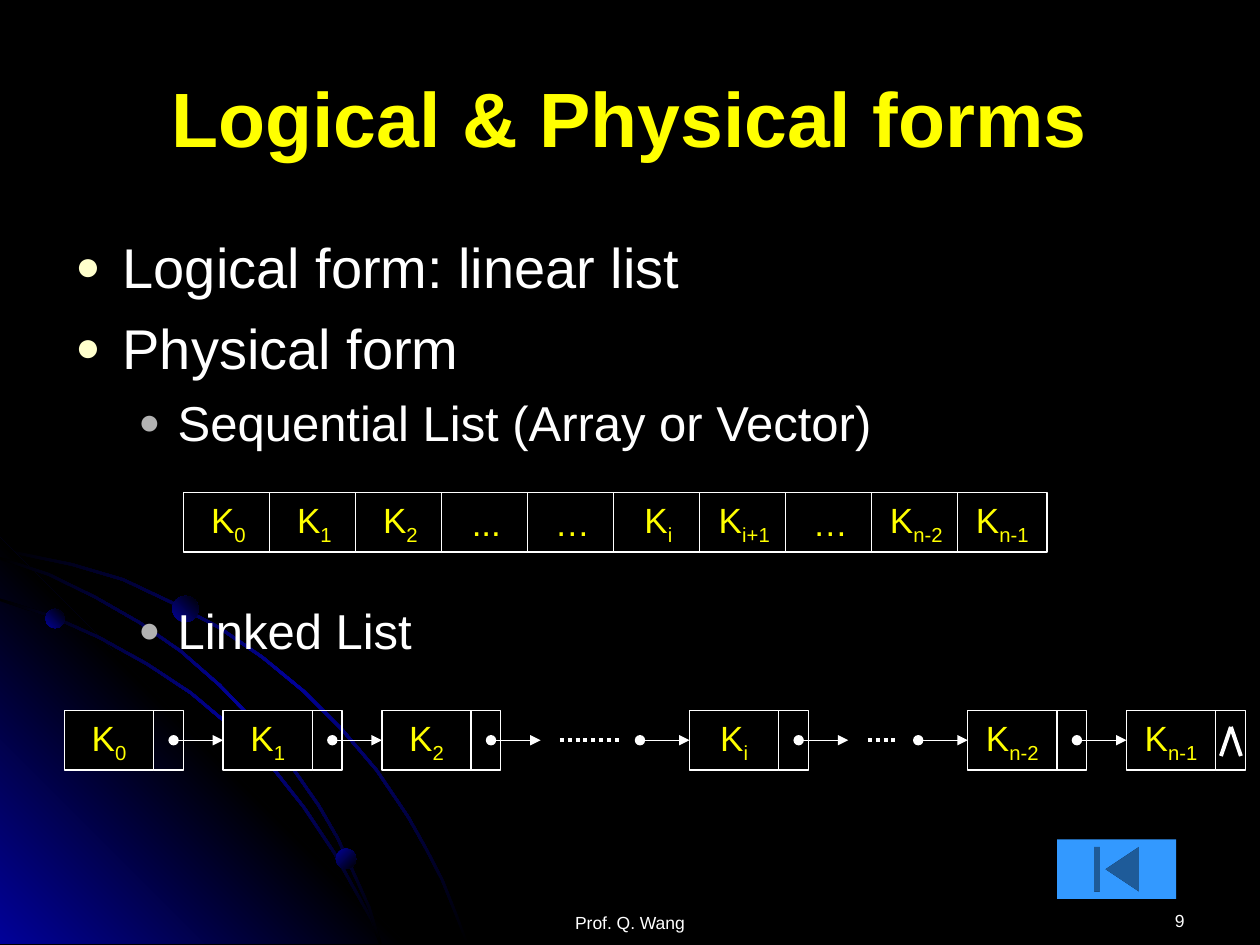
from dataclasses import dataclass
from math import cos, pi, sin
from lxml.etree import SubElement
from pptx import Presentation
from pptx.dml.color import RGBColor
from pptx.enum.dml import MSO_LINE_DASH_STYLE as Dash
from pptx.enum.shapes import MSO_CONNECTOR, MSO_SHAPE
from pptx.enum.text import MSO_ANCHOR as Anchor, PP_ALIGN as Align
from pptx.oxml.ns import qn
from pptx.util import Pt


@dataclass(frozen=True)
class Theme:
    font: str = "Arial"
    black: str = "000000"
    white: str = "FFFFFF"
    yellow: str = "FFFF00"
    navy: str = "010199"
    button: str = "3399FF"
    bullets: tuple = ("FFFFCC", "B2B2B2")
    title: int = 44
    body: tuple = (32, 28)
    key: int = 20
    small: int = 10
    thin: float = 0.75
    thick: float = 2.25


T = Theme()
CELL_W, CELL_H, LINK_W = 51, 34, 17
ARROW = 28.3
NODE_PITCH = 90.7
CHAIN_TOP = 406
CHAIN_MID = CHAIN_TOP + CELL_H / 2

ARCS = [
    [(0, 313.2), (20.2, 317.5), (41, 321.8), (70.6, 330.5), (97.9, 343.4),
     (125.3, 357.8), (150.5, 375.1), (174.2, 394.6), (195.8, 416.2),
     (216, 439.9), (234, 466.6), (244.1, 484.6), (253.4, 502.6),
     (260.6, 520.6), (267.8, 539.3)],
    [(0, 342), (29.5, 351.4), (56.9, 363.6), (84.2, 378.7), (109.4, 395.3),
     (132.5, 414.7), (154.8, 436.3), (174.2, 460.8), (191.5, 486.7),
     (205.9, 512.6), (213.1, 525.6), (218.2, 539.3)],
    [(0, 318.2), (28.1, 327.6), (54.7, 340.6), (79.9, 355), (103.7, 371.5),
     (126, 391), (146.9, 412.6), (164.9, 434.2), (182.9, 460.1),
     (193.7, 478.8), (203, 499), (211.7, 518.4), (218.2, 539.3)],
]


def rgb(color):
    return RGBColor.from_string(color)


def fill_gradient(sp, colors, angle):
    sp.shadow.inherit = False
    sp.line.fill.background()
    sp.fill.gradient()
    grad = sp._element.spPr.find(qn("a:gradFill"))
    stops = grad.find(qn("a:gsLst"))
    for old in list(stops):
        stops.remove(old)
    for i, color in enumerate(colors):
        pos = str(100000 * i // (len(colors) - 1))
        gs = SubElement(stops, qn("a:gs"), pos=pos)
        SubElement(gs, qn("a:srgbClr"), val=color)
    grad.find(qn("a:lin")).set("ang", str(angle * 60000))


def add_outline(s, points, colors, angle):
    pts = [(Pt(x), Pt(y)) for x, y in points]
    builder = s.shapes.build_freeform(*pts[0])
    builder.add_line_segments(pts[1:], close=True)
    fill_gradient(builder.convert_to_shape(), colors, angle)


def add_arc(s, edge, width=1.5):
    turn = pi / 2 / (len(edge) - 1)
    inner = [(x - width * sin(i * turn), y + width * cos(i * turn))
             for i, (x, y) in enumerate(edge)]
    inner[0] = (0, edge[0][1] + width)
    add_outline(s, edge + inner[::-1], (T.black, T.navy, T.black), 45)


def add_ball(s, x, y, size, angle):
    sp = s.shapes.add_shape(MSO_SHAPE.OVAL, Pt(x), Pt(y), Pt(size), Pt(size))
    fill_gradient(sp, (T.navy, T.black), angle)


def add_run(p, text, size, color, bold=False):
    r = p.add_run()
    r.text = text
    r.font.name = T.font
    r.font.size = Pt(size)
    r.font.bold = bold
    r.font.color.rgb = rgb(color)
    return r


def add_box(s, x, y, w, h, top_inset=3.6):
    tf = s.shapes.add_textbox(Pt(x), Pt(y), Pt(w), Pt(h)).text_frame
    tf.word_wrap = True
    tf.margin_top = Pt(top_inset)
    return tf


def add_bullet(p, text, level, before):
    pPr = p._p.get_or_add_pPr()
    left, hang = ((27, 27), (58.5, 22.5))[level]
    pPr.set("marL", str(Pt(left)))
    pPr.set("indent", str(-Pt(hang)))
    color = SubElement(pPr, qn("a:buClr"))
    SubElement(color, qn("a:srgbClr"), val=T.bullets[level])
    SubElement(pPr, qn("a:buSzPct"), val="75000")
    SubElement(pPr, qn("a:buFont"), typeface=T.font)
    SubElement(pPr, qn("a:buChar"), char="●")
    p.level = level
    p.space_before = Pt(before)
    add_run(p, text, T.body[level], T.white)


def add_rect(s, x, y, w, fill=None):
    sp = s.shapes.add_shape(MSO_SHAPE.RECTANGLE, Pt(x), Pt(y), Pt(w), Pt(CELL_H))
    sp.shadow.inherit = False
    sp.line.color.rgb = rgb(T.white)
    sp.line.width = Pt(T.thin)
    if fill:
        sp.fill.solid()
        sp.fill.fore_color.rgb = rgb(fill)
    else:
        sp.fill.background()
    return sp


def add_key(s, x, y, text, sub=""):
    tf = add_rect(s, x, y, CELL_W, T.black).text_frame
    tf.word_wrap = False
    tf.vertical_anchor = Anchor.MIDDLE
    p = tf.paragraphs[0]
    p.alignment = Align.CENTER
    add_run(p, text, T.key, T.yellow)
    if sub:
        r = add_run(p, sub, T.key, T.yellow)
        r._r.get_or_add_rPr().set("baseline", "-25000")


def add_line(s, x1, y1, x2, y2, width, dash=None, arrow=False):
    c = s.shapes.add_connector(MSO_CONNECTOR.STRAIGHT, Pt(x1), Pt(y1), Pt(x2), Pt(y2))
    c.line.color.rgb = rgb(T.white)
    c.line.width = Pt(width)
    if dash:
        c.line.dash_style = dash
    if arrow:
        ln = c.line._get_or_add_ln()
        SubElement(ln, qn("a:headEnd"), type="oval")
        SubElement(ln, qn("a:tailEnd"), type="triangle")
    SubElement(c._element.spPr, qn("a:effectLst"))


def add_backdrop(s):
    s.background.fill.solid()
    s.background.fill.fore_color.rgb = rgb(T.black)
    add_arc(s, ARCS[0])
    add_outline(s, [(0, 307.4), (0, 539.3), (231.8, 539.3)],
                (T.navy, T.black, T.navy), 315)
    for edge in ARCS[1:]:
        add_arc(s, edge)
    for ball in ((26, 348, 11, 315), (192, 485, 11.5, 45), (98.5, 340.5, 15, 315)):
        add_ball(s, *ball)


def add_text(s):
    for x, y, w, h, inset, align, text, size, color in (
            (516, 505, 168, 36, 15, Align.RIGHT, "9", T.small, T.white),
            (246, 506, 228, 36, 15, Align.CENTER, "Prof. Q. Wang", T.small, T.white),
            (36, 21.6, 648, 90, 3.6, Align.CENTER, "Logical & Physical forms",
             T.title, T.yellow)):
        tf = add_box(s, x, y, w, h, inset)
        p = tf.paragraphs[0]
        p.alignment = align
        add_run(p, text, size, color, bold=size == T.title)
        if size == T.title:
            tf.vertical_anchor = Anchor.MIDDLE
    tf = add_box(s, 36, 126, 648, 356, 6.6)
    for i, (text, level, before) in enumerate((
            ("Logical form: linear list", 0, 0), ("Physical form", 0, 8),
            ("Sequential List (Array or Vector)", 1, 6.6), ("Linked List", 1, 85.5))):
        p = tf.add_paragraph() if i else tf.paragraphs[0]
        add_bullet(p, text, level, before)


def add_array(s):
    cells = [("K", "0"), ("K", "1"), ("K", "2"), ("...",), ("…",), ("K", "i"),
             ("K", "i+1"), ("…",), ("K", "n-2"), ("K", "n-1")]
    for i, cell in enumerate(cells):
        add_key(s, 105 + 49.14 * i, 281.5, *cell)


def add_chain(s):
    nodes = {"0": 36.8, "1": 36.8 + NODE_PITCH, "2": 36.8 + 2 * NODE_PITCH,
             "i": 394, "n-2": 553, "n-1": 553 + NODE_PITCH}
    for sub, x in nodes.items():
        add_key(s, x, CHAIN_TOP, "K", sub)
        add_rect(s, x + CELL_W, CHAIN_TOP, LINK_W)
    tips = [x + NODE_PITCH for sub, x in nodes.items() if sub != "n-1"]
    for tip in tips + [nodes["i"], nodes["n-2"]]:
        add_line(s, tip - ARROW, CHAIN_MID, tip, CHAIN_MID, T.thin, arrow=True)
    for x1, x2 in ((320, 354), (496, 513)):
        add_line(s, x1, CHAIN_MID, x2, CHAIN_MID, T.thick, Dash.ROUND_DOT)
    for foot in (697.7, 709.1):
        add_line(s, foot, 432, 703.4, 415.4, T.thick)


def add_button(s):
    sp = s.shapes.add_shape(MSO_SHAPE.ACTION_BUTTON_BEGINNING,
                            Pt(604), Pt(479.7), Pt(68), Pt(CELL_H))
    sp.shadow.inherit = False
    sp.fill.solid()
    sp.fill.fore_color.rgb = rgb(T.button)
    sp.line.fill.background()


def main():
    prs = Presentation()
    prs.slide_width, prs.slide_height = Pt(720), Pt(540)
    s = prs.slides.add_slide(prs.slide_layouts[6])
    add_backdrop(s)
    add_text(s)
    add_button(s)
    add_array(s)
    add_chain(s)
    prs.save("out.pptx")


if __name__ == "__main__":
    main()
